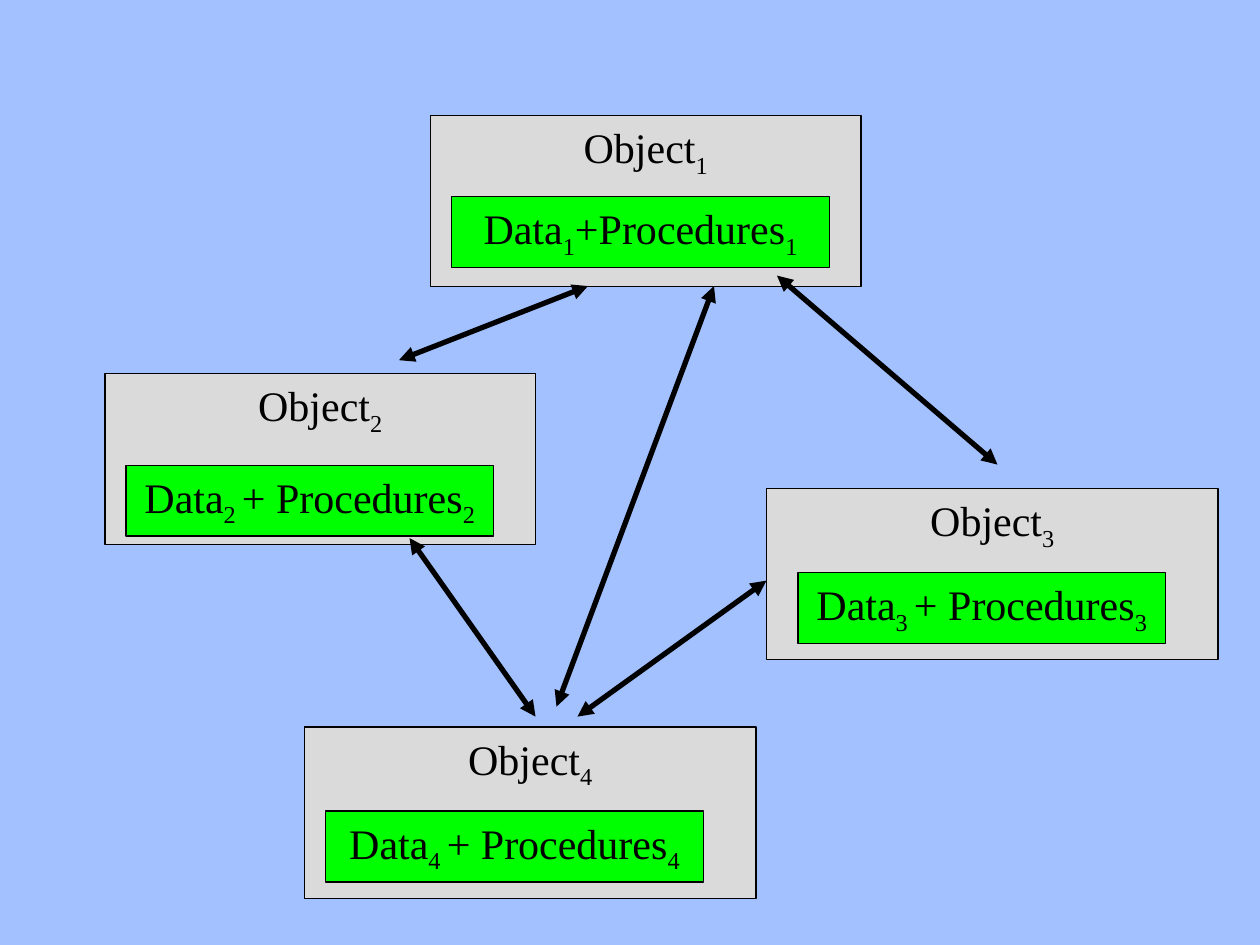
from lxml import etree
from pptx import Presentation
from pptx.dml.color import RGBColor
from pptx.enum.shapes import MSO_CONNECTOR, MSO_SHAPE
from pptx.enum.text import MSO_ANCHOR, PP_ALIGN
from pptx.oxml.ns import qn
from pptx.util import Inches, Pt

UNIT = Inches(1) / 12  # the slide is a grid of 120 columns by 90 rows
OBJECT_ROWS, DATA_ROWS = 16.3, 6.75

# number, column, row, width, then the data bar's column and row offsets and width
OBJECTS = [
    ("1", 41, 11, 41, 2, 7.7, 36),
    ("3", 73, 46.55, 43, 3, 8, 35),
    ("2", 10, 35.6, 41, 2, 8.7, 35),
    ("4", 29, 69.25, 43, 2, 8, 36),
]
MESSAGES = [
    (56, 27.25, 38, 34.3),
    (74, 26.25, 95, 44.25),
    (39, 51.25, 51, 68.25),
    (73, 55.3, 55, 68.25),
    (68, 27.25, 53, 67.3),
]


def grid(*cells):
    return [round(cell * UNIT) for cell in cells]


def color(value):
    return RGBColor.from_string(value)


def add_box(slide, box, fill, parts):
    """Draw a filled rectangle; every second text part is a subscript."""
    rect = slide.shapes.add_shape(MSO_SHAPE.RECTANGLE, *grid(*box))
    rect.shadow.inherit = False
    rect.fill.solid()
    rect.fill.fore_color.rgb = color(fill)
    rect.line.color.rgb = color("000000")
    rect.line.width = Pt(0.75)
    frame = rect.text_frame
    frame.word_wrap = True
    frame.vertical_anchor = MSO_ANCHOR.TOP
    paragraph = frame.paragraphs[0]
    paragraph.alignment = PP_ALIGN.CENTER
    font = paragraph.font
    font.name, font.size = "Times New Roman", Pt(24)
    font.color.rgb = color("000000")
    for index, part in enumerate(parts):
        run = paragraph.add_run()
        run.text = part
        if index % 2:
            run.font._element.set("baseline", "-25000")


def add_object(slide, number, column, row, width, inset, drop, data_width):
    add_box(slide, (column, row, width, OBJECT_ROWS), "DADADA", ["Object", number])
    first = number == "1"
    add_box(slide, (column + inset, row + drop, data_width, DATA_ROWS), "00FF00",
            ["Data", number if first else number + " ",
             "+Procedures" if first else "+ Procedures", number])


def add_message(slide, ends):
    """Draw a two-headed arrow between two grid points."""
    arrow = slide.shapes.add_connector(MSO_CONNECTOR.STRAIGHT, *grid(*ends))
    arrow.line.color.rgb = color("000000")
    arrow.line.width = Pt(3)
    line = arrow.line._get_or_add_ln()
    for end in ("a:headEnd", "a:tailEnd"):
        etree.SubElement(line, qn(end), type="triangle")
    etree.SubElement(arrow._element.spPr, qn("a:effectLst"))


def main():
    deck = Presentation()
    deck.slide_width, deck.slide_height = grid(120, 90)
    slide = deck.slides.add_slide(deck.slide_layouts[6])
    background = slide.background.fill
    background.solid()
    background.fore_color.rgb = color("A2C1FE")
    for item in OBJECTS:
        add_object(slide, *item)
    for ends in MESSAGES:
        add_message(slide, ends)
    deck.save("out.pptx")


if __name__ == "__main__":
    main()
